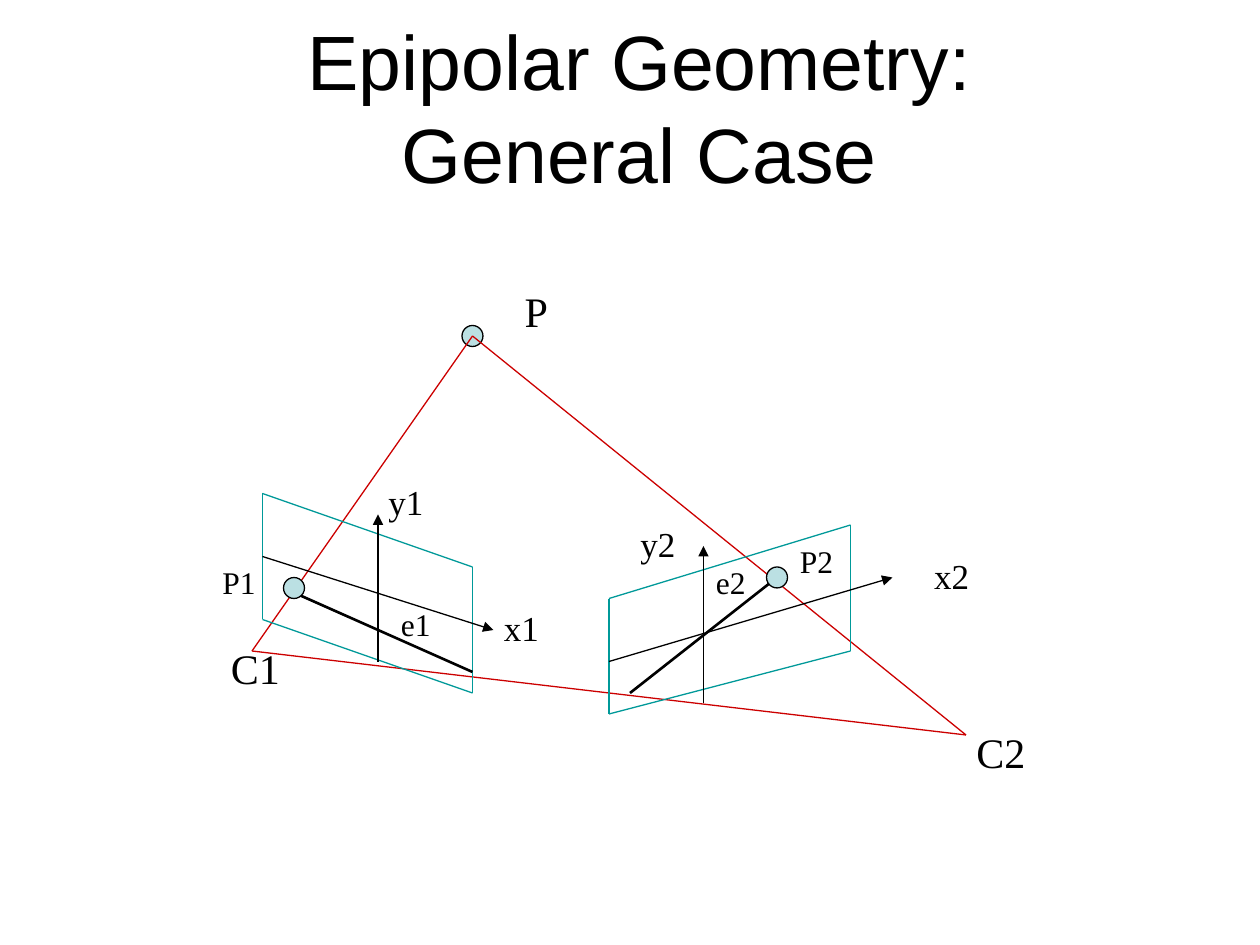
from pptx import Presentation
from pptx.dml.color import RGBColor
from pptx.enum.shapes import MSO_CONNECTOR, MSO_SHAPE
from pptx.enum.text import MSO_ANCHOR, MSO_AUTO_SIZE, PP_ALIGN
from pptx.oxml.ns import qn
from pptx.util import Inches, Pt
from lxml import etree

STRAIGHT = MSO_CONNECTOR.STRAIGHT
OVAL = MSO_SHAPE.OVAL
MIDDLE = MSO_ANCHOR.MIDDLE
FIT_SHAPE = MSO_AUTO_SIZE.SHAPE_TO_FIT_TEXT
CENTER = PP_ALIGN.CENTER

COLORS = {"ink": "000000", "ray": "CC0000", "plane": "009999", "point": "BBE0E3"}
COLUMNS, ROWS = 120, 90
DOT = 2
# Width of one letter-and-digit label and its height, by text size
LABEL_SIZES = {24: (7.1, 6), 20: (5.8, 5.3), 18: (5.65, 4.8)}


def color(name):
    return RGBColor.from_string(COLORS[name])


def apply(target, values):
    for name, value in values.items():
        setattr(target, name, value)


class Sketch:
    """Draws on one slide; lengths are cells of a 120 by 90 grid."""

    def __init__(self, deck):
        self.cell_width = deck.slide_width / COLUMNS
        self.cell_height = deck.slide_height / ROWS
        self.page = deck.slides.add_slide(deck.slide_layouts[6])

    def place(self, column, row):
        return round(column * self.cell_width), round(row * self.cell_height)

    def line(self, start, end, shade="ink", weight=0.75, arrow=False):
        link = self.page.shapes.add_connector(
            STRAIGHT, *self.place(*start), *self.place(*end))
        link.line.color.rgb = color(shade)
        link.line.width = Pt(weight)
        properties = link._element.spPr
        if arrow:
            etree.SubElement(properties.find(qn("a:ln")), qn("a:tailEnd"), type="triangle")
        etree.SubElement(properties, qn("a:effectLst"))

    def outline(self, corners, shade):
        for start, end in zip(corners, corners[1:] + corners[:1]):
            self.line(start, end, shade)

    def dot(self, column, row):
        shape = self.page.shapes.add_shape(
            OVAL, *self.place(column, row), *self.place(DOT, DOT))
        shape.shadow.inherit = False
        shape.fill.solid()
        shape.fill.fore_color.rgb = color("point")
        shape.line.color.rgb = color("ink")
        shape.line.width = Pt(0.75)

    def text(self, words, at, extent, size, font, frame_format, alignment=None):
        box = self.page.shapes.add_textbox(*self.place(*at), *self.place(*extent))
        apply(box.text_frame, frame_format)
        para = box.text_frame.paragraphs[0]
        para.text = words
        para.alignment = alignment
        apply(para.font, {"size": Pt(size), "name": font})
        para.font.color.rgb = color("ink")

    def title(self, words):
        self.text(words, (4.2, 0.7), (113.4, 18.8), 44, "Arial",
                  {"word_wrap": True, "vertical_anchor": MIDDLE}, CENTER)

    def label(self, words, at, size):
        width, height = LABEL_SIZES[size]
        if len(words) == 1:
            width = 4.6
        elif words.startswith("e"):
            width = 5.2
        self.text(words, at, (width, height), size, "Times New Roman",
                  {"word_wrap": False, "auto_size": FIT_SHAPE})


def main():
    deck = Presentation()
    deck.slide_width, deck.slide_height = Inches(10), Inches(7.5)
    sketch = Sketch(deck)
    sketch.title("Epipolar Geometry:\vGeneral Case")

    # Scene point and the triangle to both camera centres
    sketch.dot(44, 31)
    sketch.outline([(24, 62), (45, 32), (92, 70)], "ray")

    # Image planes
    sketch.outline([(25, 47), (45, 54), (45, 66), (25, 59)], "plane")
    sketch.outline([(58, 57), (81, 50), (81, 62), (58, 68)], "plane")

    # Epipolar lines
    sketch.line((27, 56), (45, 64), weight=1.5)
    sketch.line((60, 66), (74, 55), weight=1.5)

    # Image axes
    for start, end in [((25, 53), (47, 60)), ((58, 63), (85, 55)),
                       ((36, 63), (36, 49)), ((67, 67), (67, 52))]:
        sketch.line(start, end, arrow=True)

    # Projected points
    sketch.dot(27, 55)
    sketch.dot(73, 54)

    # Labels
    for words, at, size in [
        ("P", (48.8, 26.6), 24),
        ("P1", (20, 53), 18), ("P2", (75, 51), 18),
        ("y1", (35.8, 45.2), 20), ("y2", (59.8, 49.2), 20),
        ("x1", (46.8, 57.2), 20), ("x2", (87.8, 52.2), 20),
        ("e1", (37, 57), 18), ("e2", (67, 53), 18),
        ("C1", (20.8, 60.6), 24), ("C2", (91.8, 68.6), 24),
    ]:
        sketch.label(words, at, size)

    deck.save("out.pptx")


if __name__ == "__main__":
    main()
